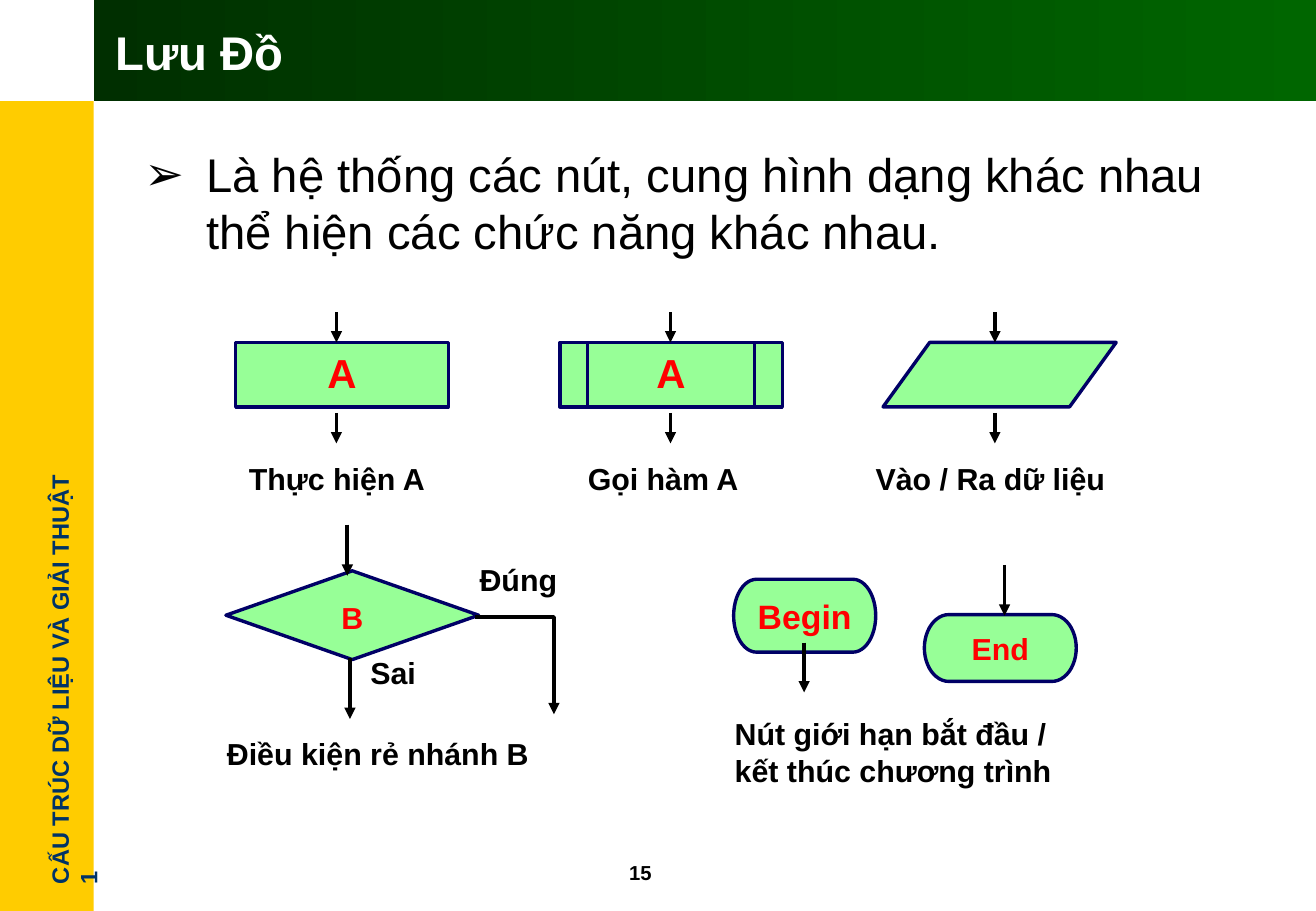
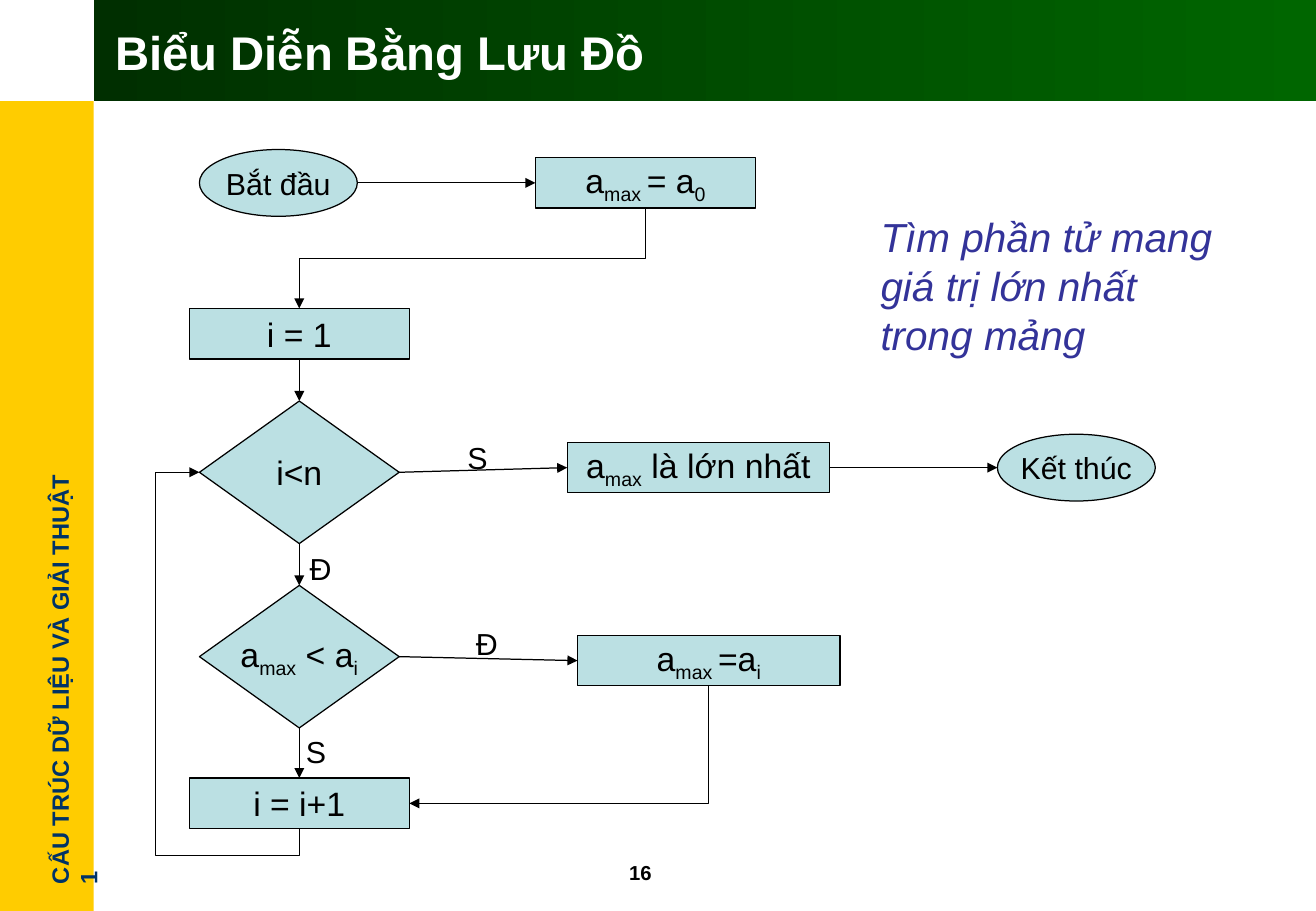
from dataclasses import dataclass
from typing import NamedTuple

from lxml import etree
from pptx import Presentation
from pptx import util as u
from pptx.dml.color import RGBColor
from pptx.enum import shapes, text
from pptx.oxml.ns import qn

WHITE = RGBColor(0xFF, 0xFF, 0xFF)
BLACK = RGBColor(0x00, 0x00, 0x00)
YELLOW = RGBColor(0xFF, 0xCC, 0x00)
DARK_GREEN = RGBColor(0x00, 0x2F, 0x00)
GREEN = RGBColor(0x00, 0x66, 0x00)
LIGHT_GREEN = RGBColor(0x97, 0xFF, 0x97)
NAVY = RGBColor(0x00, 0x00, 0x66)
SLATE = RGBColor(0x00, 0x33, 0x66)
RED = RGBColor(0xFF, 0x00, 0x00)
PALE_BLUE = RGBColor(0xBB, 0xE0, 0xE3)
INDIGO = RGBColor(0x33, 0x33, 0x99)

FONT = "Arial"
KIND = shapes.MSO_SHAPE
TOP, MIDDLE = text.MSO_ANCHOR.TOP, text.MSO_ANCHOR.MIDDLE
LEFT, CENTER = text.PP_ALIGN.LEFT, text.PP_ALIGN.CENTER


class Area(NamedTuple):
    """A rectangle in points."""
    left: float
    top: float
    width: float
    height: float

    def lengths(self) -> list[u.Pt]:
        return [u.Pt(value) for value in self]

    def side(self, name: str) -> tuple[float, float]:
        """Middle point of the top, bottom, left or right side."""
        across, down = {"top": (0.5, 0), "bottom": (0.5, 1),
                        "left": (0, 0.5), "right": (1, 0.5)}[name]
        return self.left + across * self.width, self.top + down * self.height


@dataclass(frozen=True)
class Style:
    size: float
    color: RGBColor = BLACK
    bold: bool = False
    italic: bool = False
    align: text.PP_ALIGN = LEFT
    anchor: text.MSO_ANCHOR = TOP
    wrap: bool = False


@dataclass(frozen=True)
class Look:
    fill: RGBColor
    line: RGBColor
    weight: float


@dataclass(frozen=True)
class Node:
    kind: shapes.MSO_SHAPE
    area: Area
    runs: tuple[str, ...]
    size: float


class Label(NamedTuple):
    words: str
    left: float
    top: float
    width: float


TITLE = Style(28, WHITE, bold=True, anchor=MIDDLE, wrap=True)
SIDE_NOTE = Style(14, SLATE, bold=True, wrap=True)
PAGE_NUMBER = Style(12, bold=True, wrap=True)
BODY = Style(28, wrap=True)
CAPTION = Style(18, bold=True)
WRAPPED_CAPTION = Style(18, bold=True, wrap=True)
BRANCH = Style(18)
GOAL = Style(24, INDIGO, italic=True, wrap=True)

SYMBOL_LOOK = Look(LIGHT_GREEN, NAVY, 2)
FLOW_LOOK = Look(PALE_BLUE, BLACK, 0.75)
LABEL_HEIGHT = 28.8


def write(box, runs: tuple[str, ...], style: Style):
    """Fill a box with one paragraph; every second run is a subscript."""
    frame = box.text_frame
    frame.word_wrap = style.wrap
    frame.vertical_anchor = style.anchor
    para = frame.paragraphs[0]
    para.alignment = style.align
    for index, words in enumerate(runs):
        span = para.add_run()
        span.text = words
        font = span.font
        font.name, font.size = FONT, u.Pt(style.size)
        font.bold, font.italic = style.bold, style.italic
        font.color.rgb = style.color
        if index % 2:
            span._r.get_or_add_rPr().set("baseline", "-25000")
    return para


def add_text(page, area: Area, words: str, style: Style):
    box = page.shapes.add_textbox(*area.lengths())
    write(box, (words,), style)
    return box


def add_labels(page, labels: list[Label], style: Style) -> None:
    for label in labels:
        area = Area(label.left, label.top, label.width, LABEL_HEIGHT)
        add_text(page, area, label.words, style)


def add_band(page, area: Area):
    band = page.shapes.add_shape(KIND.RECTANGLE, *area.lengths())
    band.shadow.inherit = False
    band.line.fill.background()
    return band


def add_node(page, node: Node, look: Look, style: Style) -> None:
    shape = page.shapes.add_shape(node.kind, *node.area.lengths())
    shape.shadow.inherit = False
    shape.fill.solid()
    shape.fill.fore_color.rgb = look.fill
    shape.line.color.rgb = look.line
    shape.line.width = u.Pt(look.weight)
    if node.runs:
        write(shape, node.runs, style)


def add_arrow(page, points: list[tuple[float, float]], weight: float) -> None:
    """Draw a black arrow: a connector if straight, else an open outline."""
    ends = [(u.Pt(x), u.Pt(y)) for x, y in points]
    if len(ends) == 2:
        arrow = page.shapes.add_connector(
            shapes.MSO_CONNECTOR.STRAIGHT, *ends[0], *ends[1])
    else:
        builder = page.shapes.build_freeform(*ends[0])
        builder.add_line_segments(ends[1:], close=False)
        arrow = builder.convert_to_shape()
        arrow.fill.background()
    arrow.line.color.rgb = BLACK
    arrow.line.width = u.Pt(weight)
    properties = arrow.element.xpath("./p:spPr")[0]
    etree.SubElement(properties.find(qn("a:ln")), qn("a:tailEnd"), type="triangle")
    etree.SubElement(properties, qn("a:effectLst"))


def add_page(deck, heading: str, number: int):
    """Add a slide with the shared bands, side note, number and title."""
    page = deck.slides.add_slide(deck.slide_layouts[5])
    side = add_band(page, Area(0, 60, 55.5, 480))
    side.fill.solid()
    side.fill.fore_color.rgb = YELLOW
    note = add_text(page, Area(-98.6, 385.2, 267.8, 24),
                    "CẤU TRÚC DỮ LIỆU VÀ GIẢI THUẬT 1", SIDE_NOTE)
    note.rotation = 270
    header = add_band(page, Area(55.5, 0, 725.5, 60))
    header.fill.gradient()
    header.fill.gradient_angle = 0
    for stop, color in zip(header.fill.gradient_stops, (DARK_GREEN, GREEN)):
        stop.color.rgb = color
    add_text(page, Area(365.8, 506.2, 60, 21.6), str(number), PAGE_NUMBER)

    title = page.shapes.title
    title.left, title.top, title.width, title.height = Area(61.2, 6.5, 703.4, 48).lengths()
    write(title, (heading,), TITLE)
    title.element.getparent().append(title.element)
    return page


def add_bullet(para, indent: float) -> None:
    properties = para._p.get_or_add_pPr()
    properties.set("marL", str(u.Pt(indent)))
    properties.set("indent", str(-u.Pt(indent)))
    etree.SubElement(properties, qn("a:buFont"), typeface=FONT)
    etree.SubElement(properties, qn("a:buChar"), char="➢")


def build_symbols(deck) -> None:
    page = add_page(deck, "Lưu Đồ", 15)
    body = add_text(
        page, Area(78.5, 82.8, 674.6, 425.5),
        "Là hệ thống các nút, cung hình dạng khác nhau thể hiện các chức năng khác nhau.",
        BODY)
    add_bullet(body.text_frame.paragraphs[0], 36.7)

    row_top, row_height = 203, 38.2
    symbols = [
        Node(KIND.RECTANGLE, Area(139.7, row_top, 126, row_height), ("A",), 24),
        Node(KIND.FLOWCHART_DECISION, Area(133.9, 338.4, 149.8, 52.6), ("B",), 18),
        Node(KIND.FLOWCHART_PREDEFINED_PROCESS,
             Area(331.9, row_top, 131.8, row_height), ("A",), 24),
        Node(KIND.FLOWCHART_DATA, Area(523.4, row_top, 138.2, row_height), (), 24),
        Node(KIND.FLOWCHART_TERMINATOR, Area(434.9, 343.4, 84.2, 43.2), ("Begin",), 20),
        Node(KIND.FLOWCHART_TERMINATOR, Area(547.9, 364.3, 90, 39.6), ("End",), 18),
    ]
    for symbol in symbols:
        style = Style(symbol.size, RED, bold=True, align=CENTER, wrap=True)
        add_node(page, symbol, SYMBOL_LOOK, style)

    falls = [(x, top, top + 18) for x in (199.4, 397.4, 589.7) for top in (185, 244.8)]
    falls += [(205.9, 311, 341.3), (207.4, 390.2, 426.2),
              (476.6, 380.9, 410.4), (595.4, 334.8, 365)]
    for x, top, bottom in falls:
        add_arrow(page, [(x, top), (x, bottom)], 2.25)
    add_arrow(page, [(281.5, 365.8), (328.3, 365.8), (328.3, 423.4)], 2.25)

    add_labels(page, [
        Label("Thực hiện A", 140.4, 269.3, 119.5),
        Label("Gọi hàm A", 341.3, 269.3, 104.4),
        Label("Vào / Ra dữ liệu", 511.9, 269.3, 150.5),
        Label("Điều kiện rẻ nhánh B", 127.4, 432, 193.7),
        Label("Đúng", 277.2, 329, 60.5),
        Label("Sai", 212.4, 384.5, 41.8),
    ], CAPTION)
    add_text(page, Area(428.4, 420.5, 227.5, 50.4),
             "Nút giới hạn bắt đầu / kết thúc chương trình", WRAPPED_CAPTION)


def build_maximum_search(deck) -> None:
    page = add_page(deck, "Biểu Diễn Bằng Lưu Đồ", 16)

    def terminal(left: float, top: float, words: str) -> Node:
        return Node(KIND.OVAL, Area(left, top, 93.6, 39.6), (words,), 18)

    def step(left: float, top: float, width: float, *runs: str) -> Node:
        return Node(KIND.RECTANGLE, Area(left, top, width, 30), runs, 20)

    def choice(top: float, *runs: str) -> Node:
        return Node(KIND.DIAMOND, Area(118.2, top, 118.4, 84.5), runs, 20)

    narrow, wide = 130.6, 155.6
    nodes = {
        "start": terminal(118.2, 88.6, "Bắt đầu"),
        "init": step(317.3, 93.4, narrow, "a", "max ", "= a", "0"),
        "loop": choice(237.7, "i<n"),
        "first": step(112.1, 182.8, narrow, "i = 1"),
        "found": step(336.2, 262.2, wide, "a", "max", " là lớn nhất"),
        "end": terminal(591.2, 257.4, "Kết thúc"),
        "test": choice(347, "a", "max", " < a", "i"),
        "next": step(112.1, 461.2, narrow, "i = i+1"),
        "update": step(342.3, 376.6, wide, "a", "max ", "=a", "i"),
    }
    for node in nodes.values():
        style = Style(node.size, align=CENTER, anchor=MIDDLE)
        add_node(page, node, FLOW_LOOK, style)

    def link(source: str, exit_side: str, target: str, entry_side: str,
             *corners: tuple[float, float]) -> None:
        begin = nodes[source].area.side(exit_side)
        finish = nodes[target].area.side(entry_side)
        add_arrow(page, [begin, *corners, finish], FLOW_LOOK.weight)

    main_x = nodes["first"].area.side("top")[0]
    init_x = nodes["init"].area.side("bottom")[0]
    update_x = nodes["update"].area.side("bottom")[0]
    loop_y = nodes["loop"].area.side("left")[1]
    next_y = nodes["next"].area.side("right")[1]
    turn_y, return_x, return_y = 153.2, 92.2, 507

    link("start", "right", "init", "left")
    link("init", "bottom", "first", "top", (init_x, turn_y), (main_x, turn_y))
    link("first", "bottom", "loop", "top")
    link("loop", "bottom", "test", "top")
    link("test", "bottom", "next", "top")
    link("next", "bottom", "loop", "left",
         (main_x, return_y), (return_x, return_y), (return_x, loop_y))
    link("loop", "right", "found", "left")
    link("found", "right", "end", "left")
    link("test", "right", "update", "left")
    link("update", "bottom", "next", "right", (update_x, next_y))

    add_labels(page, [
        Label("S", 270, 257, 26.6),
        Label("S", 174.2, 431.3, 26.6),
        Label("Đ", 176.4, 322.6, 27.4),
        Label("Đ", 275, 367.2, 27.4),
    ], BRANCH)
    add_text(page, Area(514.8, 122.4, 215.3, 93.6),
             "Tìm phần tử mang giá trị lớn nhất trong mảng", GOAL)


def main() -> None:
    deck = Presentation()
    deck.slide_width, deck.slide_height = u.Pt(780), u.Pt(540)
    build_symbols(deck)
    build_maximum_search(deck)
    deck.save("out.pptx")


if __name__ == "__main__":
    main()
